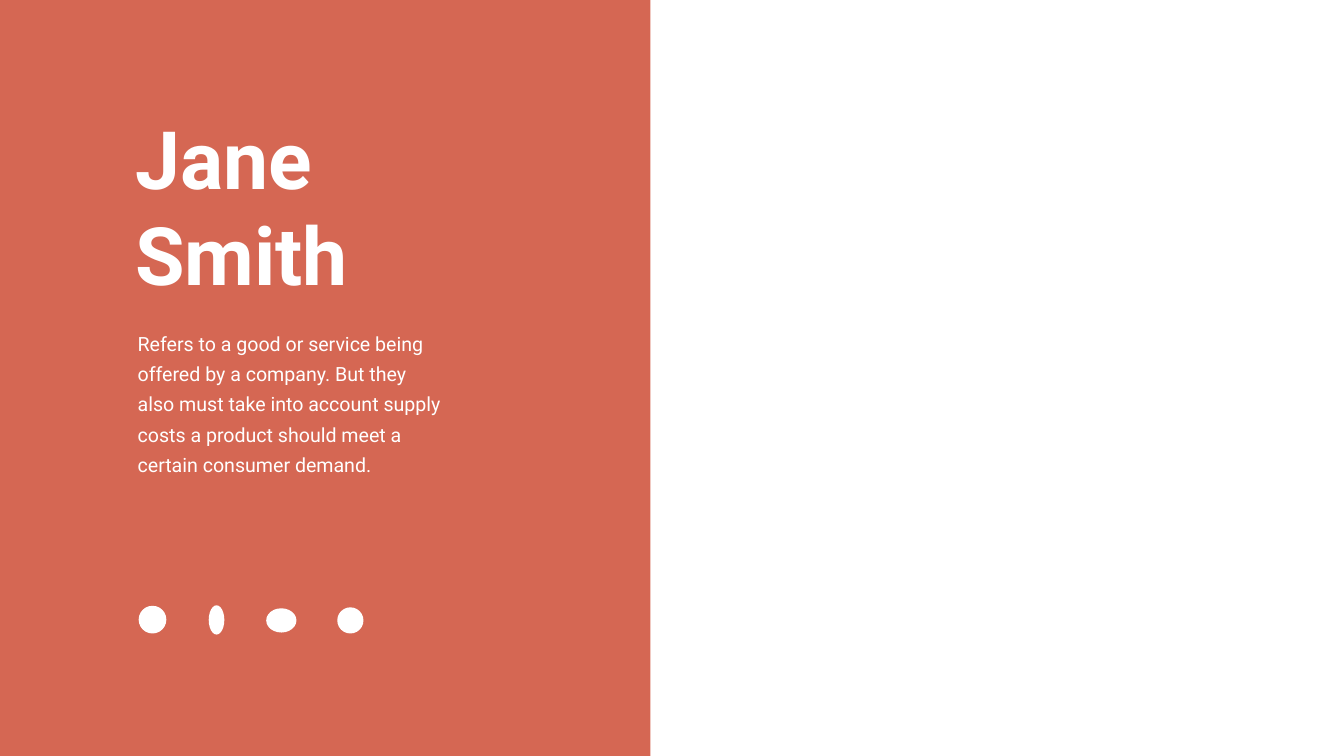
"""Build a profile slide with a coloured panel, a name, a text and four marks."""
from dataclasses import dataclass

from pptx import Presentation
from pptx.dml.color import RGBColor
from pptx.enum.shapes import MSO_SHAPE
from pptx.enum.text import MSO_ANCHOR, MSO_AUTO_SIZE, PP_ALIGN
from pptx.oxml.ns import qn
from pptx.util import Pt

RECT, OVAL = MSO_SHAPE.RECTANGLE, MSO_SHAPE.OVAL
TOP, LEFT, FIXED = MSO_ANCHOR.TOP, PP_ALIGN.LEFT, MSO_AUTO_SIZE.NONE
WHITE, CORAL = "FFFFFF", "D56753"
FONT = "Roboto"


@dataclass(frozen=True)
class Box:
    left: float
    top: float
    width: float
    height: float


@dataclass(frozen=True)
class Block:
    box: Box
    lines: tuple[str, ...]
    size: float
    bold: bool
    pad_x: float
    pad_y: float
    pitch: float | None = None


PANEL = Box(0, 0, 928.8, 1080)
NAME = Block(Box(185.8, 151.9, 333.4, 285.8), ("Jane", "Smith"),
             115, True, 7.2, 3.6)
ABOUT = Block(Box(179.3, 456.5, 473.8, 230.4), (
    "Refers to a good or service being offered by a company. "
    "But they also must take into account supply costs a product "
    "should meet a certain consumer demand.",), 28, False, 17.3, 8.6, 43)
MARKS = (
    Box(198, 865.4, 39.6, 39.6),
    Box(298.1, 864.7, 22.3, 41.8),
    Box(380.2, 869, 43.2, 34.6),
    Box(481.7, 867.6, 37.4, 37.4),
)


def tint(code: str) -> RGBColor:
    """Turn a hex string into a colour."""
    return RGBColor.from_string(code)


def place(shape, box: Box) -> None:
    """Move and size a shape."""
    shape.left, shape.top = Pt(box.left), Pt(box.top)
    shape.width, shape.height = Pt(box.width), Pt(box.height)


def draw(slide, kind: MSO_SHAPE, box: Box, code: str) -> None:
    """Draw a plain filled shape."""
    shape = slide.shapes.add_shape(kind, 0, 0, 0, 0)
    place(shape, box)
    shape.shadow.inherit = False
    shape.fill.solid()
    shape.fill.fore_color.rgb = tint(code)
    shape.line.fill.background()


def write(shape, block: Block) -> None:
    """Fill a placeholder with formatted lines."""
    place(shape, block.box)
    frame = shape.text_frame
    frame.text = "\n".join(block.lines)
    frame.word_wrap = True
    frame.auto_size = FIXED
    frame.vertical_anchor = TOP
    frame.margin_left = frame.margin_right = Pt(block.pad_x)
    frame.margin_top = frame.margin_bottom = Pt(block.pad_y)
    for para in frame.paragraphs:
        props = para._p.get_or_add_pPr()
        props.set("marL", "0")
        props.set("indent", "0")
        props.append(props.makeelement(qn("a:buNone"), {}))
        para.alignment = LEFT
        para.space_before = Pt(0)
        if block.pitch:
            para.line_spacing = Pt(block.pitch)
        font = para.font
        font.name, font.size, font.bold = FONT, Pt(block.size), block.bold
        font.color.rgb = tint(WHITE)


def main() -> None:
    """Build and save the slide."""
    deck = Presentation()
    deck.slide_width, deck.slide_height = Pt(1919.52), Pt(1080)
    slide = deck.slides.add_slide(deck.slide_layouts[1])
    back = slide.background.fill
    back.solid()
    back.fore_color.rgb = tint(WHITE)
    draw(slide, RECT, PANEL, CORAL)
    tree = slide.shapes._spTree
    tree.insert(2, slide.shapes[-1]._element)
    write(slide.shapes.title, NAME)
    write(slide.placeholders[1], ABOUT)
    for mark in MARKS:
        draw(slide, OVAL, mark, WHITE)
    deck.save("out.pptx")


if __name__ == "__main__":
    main()
